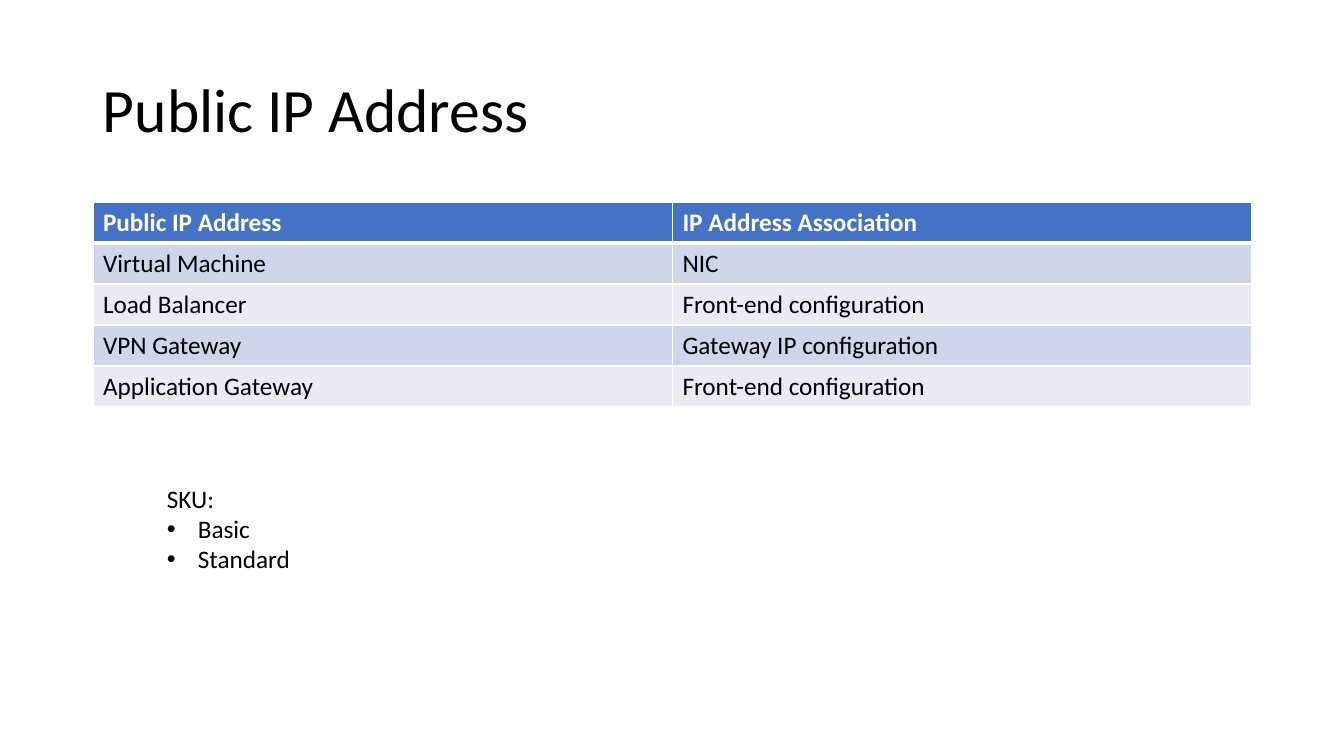
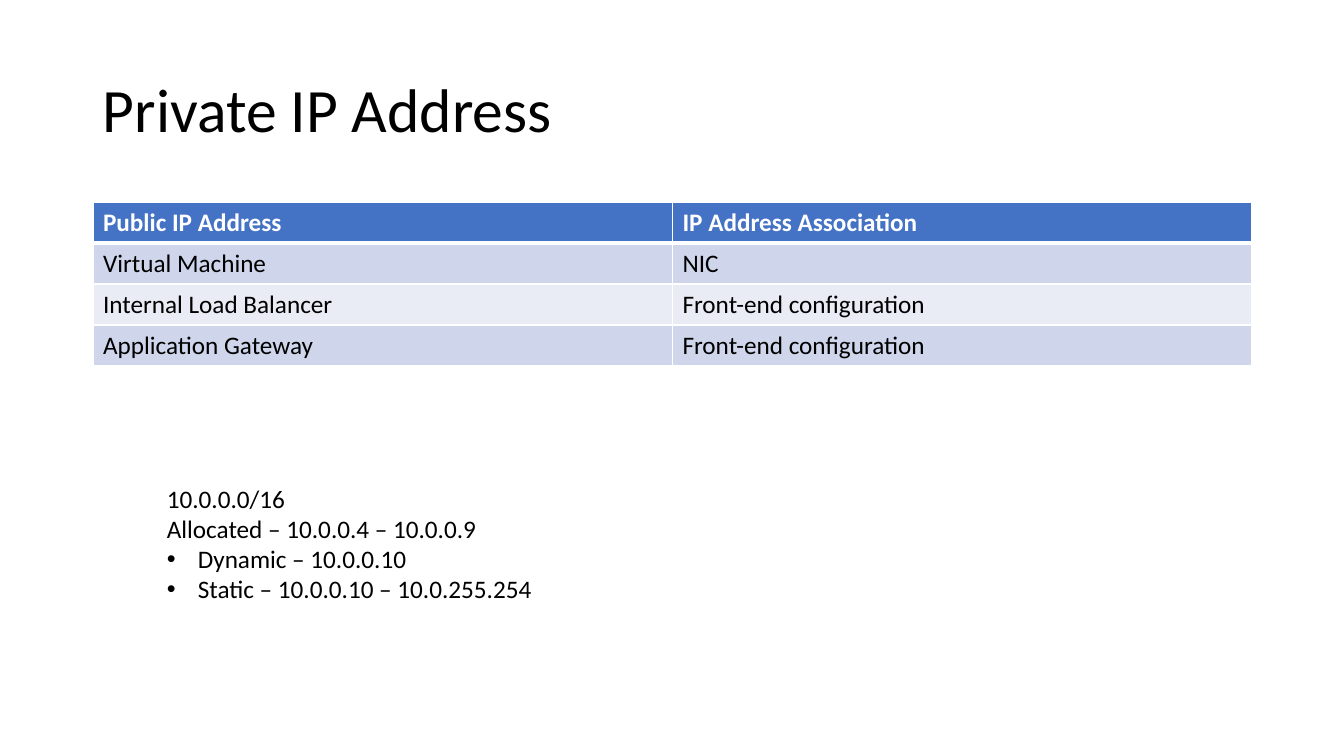
from lxml import etree
from pptx import Presentation
from pptx import util as u
from pptx.dml.color import RGBColor
from pptx.enum import text
from pptx.oxml import ns

PX = 914400 / 100.8
FONT = "Calibri"
BLACK = RGBColor(0x00, 0x00, 0x00)
WHITE = RGBColor(0xFF, 0xFF, 0xFF)
HEADER_BLUE = RGBColor(0x44, 0x72, 0xC4)
BANDS = [RGBColor(0xE9, 0xEB, 0xF5), RGBColor(0xCF, 0xD5, 0xEA)]
LEFT, WIDTH, ROW_HEIGHT, INDENT = 93, 1159, 41, 31
HEADINGS = ("Public IP Address", "IP Address Association")

SLIDES = [
    {
        "title": "Public IP Address",
        "associations": [
            ("Virtual Machine", "NIC"),
            ("Load Balancer", "Front-end configuration"),
            ("VPN Gateway", "Gateway IP configuration"),
            ("Application Gateway", "Front-end configuration"),
        ],
        "notes_width": 145,
        "plain": ["SKU:"],
        "bulleted": ["Basic", "Standard"],
    },
    {
        "title": "Private IP Address",
        "associations": [
            ("Virtual Machine", "NIC"),
            ("Internal Load Balancer", "Front-end configuration"),
            ("Application Gateway", "Front-end configuration"),
        ],
        "notes_width": 389,
        "plain": ["10.0.0.0/16", "Allocated – 10.0.0.4 – 10.0.0.9"],
        "bulleted": ["Dynamic – 10.0.0.10", "Static – 10.0.0.10 – 10.0.255.254"],
    },
]


def px(*lengths):
    """Turn pixel lengths into a list of EMU lengths."""
    return [u.Emu(round(length * PX)) for length in lengths]


def write(paragraph, wording, size=18, color=BLACK, bold=False):
    """Fill a paragraph and format its runs."""
    paragraph.text = wording
    for run in paragraph.runs:
        run.font.name, run.font.size = FONT, u.Pt(size)
        run.font.color.rgb, run.font.bold = color, bold


deck = Presentation()
deck.slide_width, deck.slide_height = px(1344, 756)

for content in SLIDES:
    slide = deck.slides.add_slide(deck.slide_layouts[6])

    title = slide.shapes.add_textbox(*px(LEFT, 40, WIDTH, 146)).text_frame
    title.word_wrap = True
    title.vertical_anchor = text.MSO_ANCHOR.MIDDLE
    title.paragraphs[0].line_spacing = 0.9
    write(title.paragraphs[0], content["title"], size=44)

    rows = [HEADINGS, *content["associations"]]
    table = slide.shapes.add_table(
        len(rows), len(HEADINGS), *px(LEFT, 202, WIDTH, ROW_HEIGHT * len(rows))
    ).table
    for r, row in enumerate(rows):
        is_header = r == 0
        for c, wording in enumerate(row):
            cell = table.cell(r, c)
            write(cell.text_frame.paragraphs[0], wording,
                  color=WHITE if is_header else BLACK, bold=is_header)
            borders = {"lnL": 1, "lnR": 1, "lnT": 3 if r == 1 else 1, "lnB": 3 if is_header else 1}
            properties = cell._tc.get_or_add_tcPr()
            for side, points in borders.items():
                line = etree.SubElement(properties, ns.qn(f"a:{side}"), w=str(u.Pt(points)))
                line_fill = etree.SubElement(line, ns.qn("a:solidFill"))
                etree.SubElement(line_fill, ns.qn("a:srgbClr"), val=str(WHITE))
            cell.fill.solid()
            cell.fill.fore_color.rgb = HEADER_BLUE if is_header else BANDS[r % 2]

    wordings = content["plain"] + content["bulleted"]
    details = slide.shapes.add_textbox(
        *px(157, 478, content["notes_width"], 10 + 30.5 * len(wordings))
    ).text_frame
    details.word_wrap = False
    details.auto_size = text.MSO_AUTO_SIZE.SHAPE_TO_FIT_TEXT
    for i, wording in enumerate(wordings):
        paragraph = details.add_paragraph() if i else details.paragraphs[0]
        write(paragraph, wording)
        if wording in content["bulleted"]:
            properties = paragraph._p.get_or_add_pPr()
            indent = px(INDENT)[0]
            properties.set("marL", str(indent))
            properties.set("indent", str(-indent))
            etree.SubElement(properties, ns.qn("a:buFont"), typeface="Arial")
            etree.SubElement(properties, ns.qn("a:buChar"), char="•")

deck.save("out.pptx")
